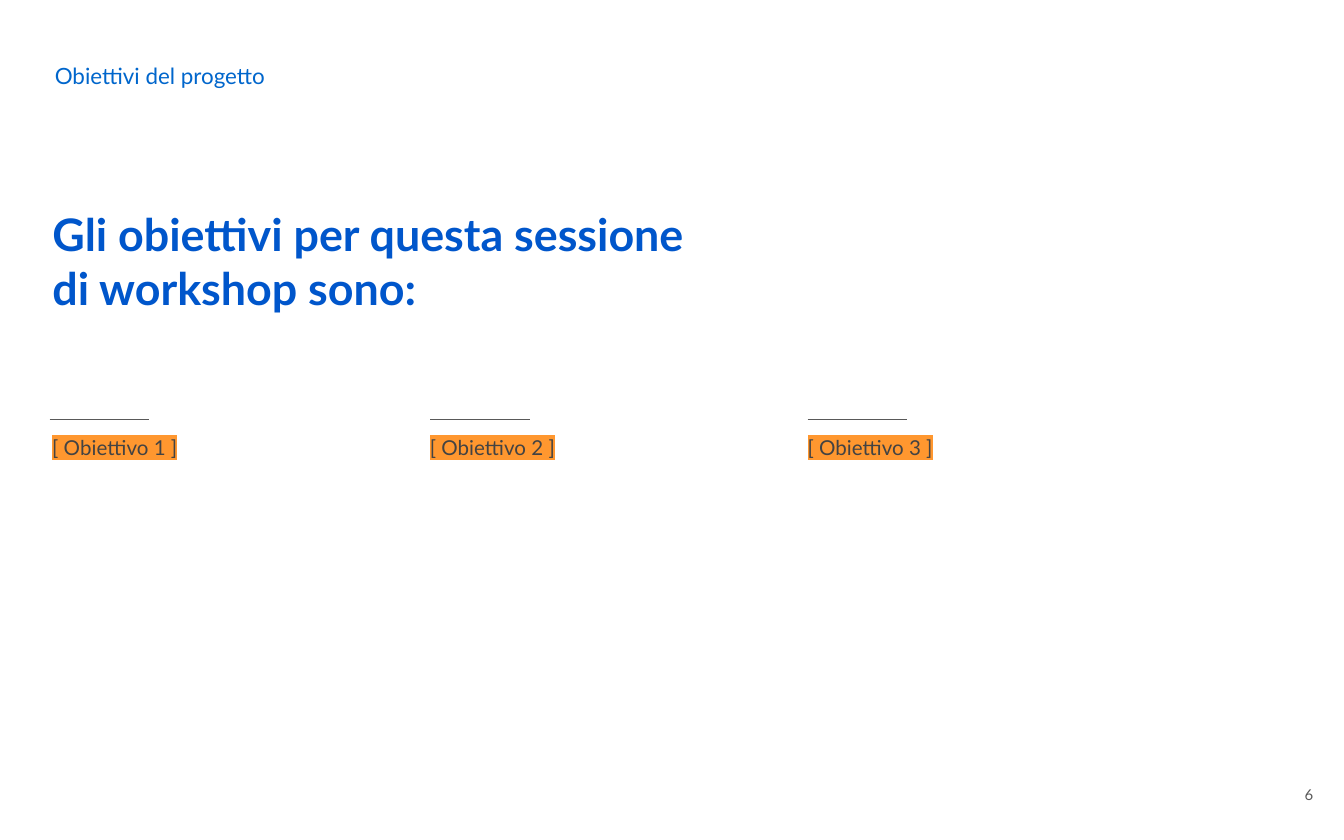
from lxml import etree
from pptx import Presentation
from pptx.dml.color import RGBColor
from pptx.enum.shapes import MSO_CONNECTOR
from pptx.enum.text import MSO_ANCHOR, MSO_AUTO_SIZE, PP_ALIGN
from pptx.oxml.ns import qn
from pptx.util import Emu, Pt

PX_PER_INCH = 100
SCALE = 914400 // PX_PER_INCH
TITLE_ONLY = 5
STRAIGHT = MSO_CONNECTOR.STRAIGHT
TOP, MIDDLE = MSO_ANCHOR.TOP, MSO_ANCHOR.MIDDLE
LEFT, RIGHT = PP_ALIGN.LEFT, PP_ALIGN.RIGHT
NO_FIT = MSO_AUTO_SIZE.NONE

FONT = "Lato"
GREY = "595959"
ORANGE = "FF972F"
HEADING = {"size": Pt(24), "bold": True}
SECTION = {"size": Pt(12)}
GOAL = {"size": Pt(11)}
NUMBER = {"size": Pt(8)}


def px(length):
    return Emu(length * SCALE)


def color(value):
    return RGBColor.from_string(value)


def write(shape, text, font, ink, anchor=TOP, align=LEFT, spacing=1.0):
    frame = shape.text_frame
    frame_format = {"word_wrap": True, "auto_size": NO_FIT, "vertical_anchor": anchor}
    for side in ("left", "right", "top", "bottom"):
        frame_format[f"margin_{side}"] = px(10)
    for name, value in frame_format.items():
        setattr(frame, name, value)
    para = frame.paragraphs[0]
    para.alignment = align
    para.line_spacing = spacing
    span = para.add_run()
    span.text = text
    for name, value in {"name": FONT, **font}.items():
        setattr(span.font, name, value)
    span.font.color.rgb = color(ink)
    return span


def add_text(page, box, text, font, ink, **layout):
    shape = page.shapes.add_textbox(*map(px, box))
    return write(shape, text, font, ink, **layout)


def highlight(span, fill):
    mark = etree.Element(qn("a:highlight"))
    etree.SubElement(mark, qn("a:srgbClr"), val=fill)
    span.font._element.find(qn("a:latin")).addprevious(mark)


def add_heading(page, box):
    title = page.shapes.title
    title.left, title.top, title.width, title.height = map(px, box)
    write(title, "Gli obiettivi per questa sessione di workshop sono:", HEADING, "0056CB")


def add_rule(page, left, top, width):
    rule = page.shapes.add_connector(STRAIGHT, px(left), px(top), px(left + width), px(top))
    rule.line.color.rgb = color(GREY)
    rule.line.width = Pt(0.75)
    etree.SubElement(rule._element.spPr, qn("a:effectLst"))


def add_goal(page, box, number, indent):
    left, top = box[:2]
    add_rule(page, left + indent, top + 1, 74)
    span = add_text(page, box, f"[ Obiettivo {number} ]", GOAL, "434343", spacing=1.15)
    highlight(span, ORANGE)


def add_goals(page, left, top, pitch):
    columns = [(249, 8), (232, 10), (232, 10)]
    for index, (width, indent) in enumerate(columns):
        box = (left + index * pitch, top, width, 146)
        add_goal(page, box, index + 1, indent)


def main():
    deck = Presentation()
    deck.slide_width, deck.slide_height = px(1000), px(625)
    page = deck.slides.add_slide(deck.slide_layouts[TITLE_ONLY])
    add_heading(page, (29, 144, 490, 96))
    add_text(page, (31, 39, 424, 34), "Obiettivi del progetto", SECTION, "0066CC", anchor=MIDDLE)
    add_goals(page, 29, 311, 281)
    add_text(page, (927, 567, 60, 48), "6", NUMBER, GREY, anchor=MIDDLE, align=RIGHT)
    deck.save("out.pptx")


if __name__ == "__main__":
    main()
